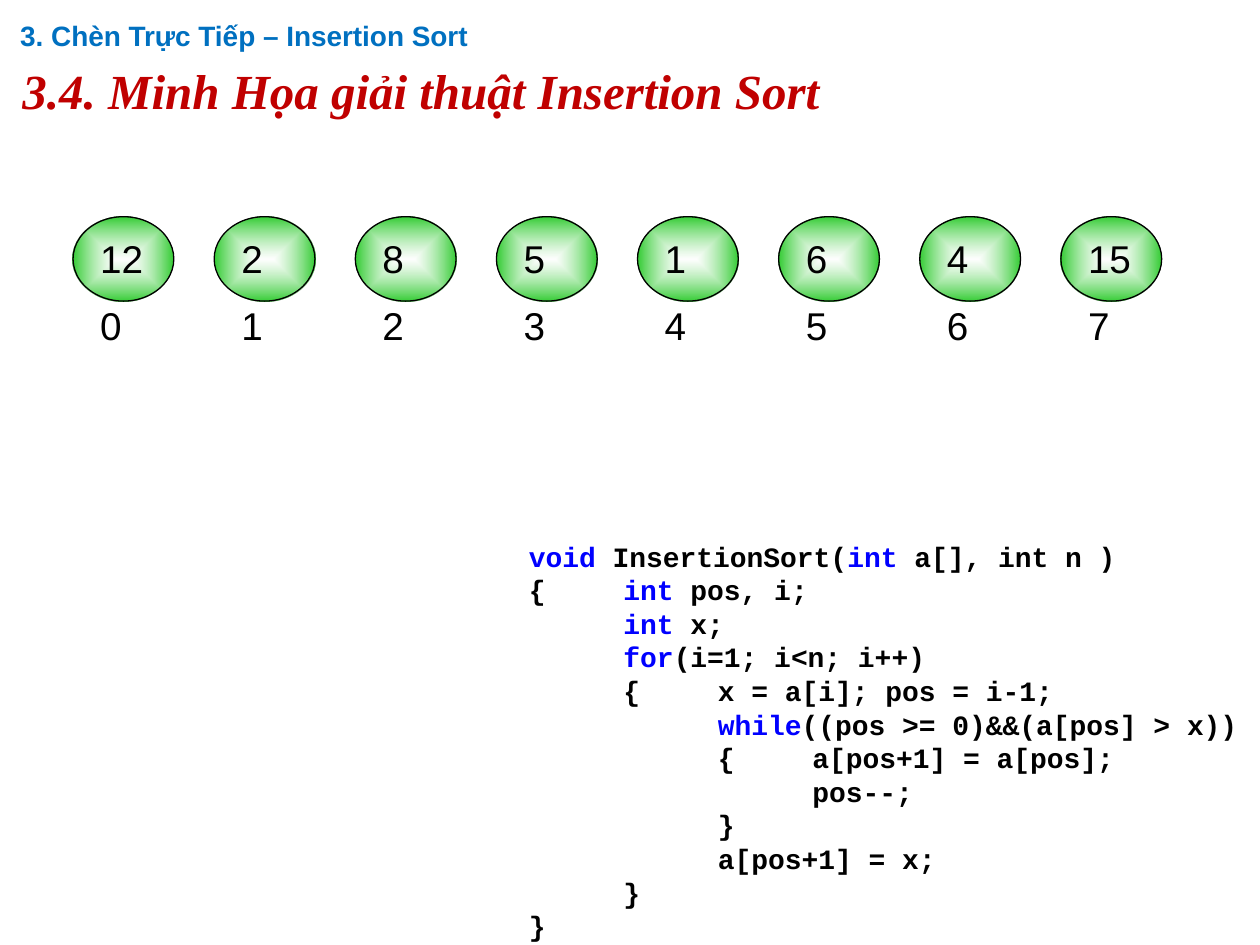
from pptx import Presentation
from pptx.dml.color import RGBColor
from pptx.enum.shapes import MSO_SHAPE
from pptx.enum.text import MSO_ANCHOR, PP_ALIGN
from pptx.oxml import parse_xml
from pptx.oxml.ns import nsdecls, qn
from pptx.util import Inches, Pt

# Content
TITLE = "3. Chèn Trực Tiếp – Insertion Sort"
SUBTITLE = "3.4. Minh Họa giải thuật Insertion Sort"
VALUES = [12, 2, 8, 5, 1, 6, 4, 15]
# Keywords to be coloured stand between ~ marks
CODE = [
    "~void~ InsertionSort(~int~ a[], int n )",
    "{\t~int~ pos, i;",
    "\t~int~ x;",
    "\t~for~(i=1; i<n; i++)",
    "\t{\tx = a[i]; pos = i-1;",
    "\t\t~while~((pos >= 0)&&(a[pos] > x))",
    "\t\t{\ta[pos+1] = a[pos];",
    "\t\t\tpos--;",
    "\t\t}",
    "\t\ta[pos+1] = x;",
    "\t}",
    "}",
]

BLACK = RGBColor(0x00, 0x00, 0x00)
TITLE_BLUE = RGBColor(0x00, 0x70, 0xC0)
RED = RGBColor(0xC0, 0x00, 0x00)
KEYWORD_BLUE = RGBColor(0x00, 0x00, 0xFF)

# Layout, in inches
NODE_LEFT, NODE_STEP = 0.58, 1.12
NODE_W, NODE_H = 0.8, 0.67
VALUE_TOP, INDEX_TOP = 1.72, 2.25
TAB_STEP, TAB_COUNT = 0.75, 3

GRADIENT = f"""<a:gradFill {nsdecls('a')} rotWithShape="1"><a:gsLst>
<a:gs pos="0"><a:srgbClr val="FFFFFF"><a:alpha val="60000"/></a:srgbClr></a:gs>
<a:gs pos="100000"><a:srgbClr val="33CC33"/></a:gs></a:gsLst>
<a:path path="shape"><a:fillToRect l="50000" t="50000" r="50000" b="50000"/></a:path>
</a:gradFill>"""


def set_font(font, name, size, color, bold=False, italic=False):
    font.name, font.size = name, Pt(size)
    font.bold, font.italic = bold, italic
    font.color.rgb = color


def add_heading(sp, text, name, size, color, italic=False):
    tf = sp.text_frame
    tf.word_wrap = True
    tf.vertical_anchor = MSO_ANCHOR.MIDDLE
    p = tf.paragraphs[0]
    p.text = text
    p.alignment = PP_ALIGN.LEFT
    p.line_spacing = 0.9
    set_font(p.font, name, size, color, True, italic)


def add_node(s, column, top, text, filled):
    left = NODE_LEFT + column * NODE_STEP
    sp = s.shapes.add_shape(MSO_SHAPE.OVAL, Inches(left), Inches(top),
                            Inches(NODE_W), Inches(NODE_H))
    sp.shadow.inherit = False
    sp.fill.background()
    if filled:
        spPr = sp.element.spPr
        spPr.replace(spPr.find(qn("a:noFill")), parse_xml(GRADIENT))
        sp.line.color.rgb = BLACK
        sp.line.width = Pt(0.75)
    else:
        sp.line.fill.background()
    tf = sp.text_frame
    tf.vertical_anchor = MSO_ANCHOR.TOP
    p = tf.paragraphs[0]
    p.text = str(text)
    p.alignment = PP_ALIGN.LEFT
    set_font(p.font, "Arial", 22.1, BLACK)


def add_code_line(p, line):
    stops = "".join(f'<a:tab pos="{Inches(TAB_STEP * n)}" algn="l"/>'
                    for n in range(1, TAB_COUNT + 1))
    p._p.get_or_add_pPr().append(
        parse_xml(f"<a:tabLst {nsdecls('a')}>{stops}</a:tabLst>"))
    p.line_spacing = Pt(19.2)
    for i, part in enumerate(line.split("~")):
        if part:
            r = p.add_run()
            r.text = part
            set_font(r.font, "Courier New", 16,
                     KEYWORD_BLUE if i % 2 else BLACK, True)


prs = Presentation()
prs.slide_width, prs.slide_height = Inches(10), Inches(7.5)
s = prs.slides.add_slide(prs.slide_layouts[5])

# Headings
title = s.shapes.title
title.left, title.top = Inches(0.06), Inches(0)
title.width, title.height = Inches(9.29), Inches(0.6)
add_heading(title, TITLE, "Arial", 16, TITLE_BLUE)
subtitle = s.shapes.add_textbox(Inches(0.08), Inches(0.44), Inches(9.29), Inches(0.6))
add_heading(subtitle, SUBTITLE, "Times New Roman", 28, RED, italic=True)

# Array values with their indexes below
for index, value in enumerate(VALUES):
    add_node(s, index, VALUE_TOP, value, filled=True)
    add_node(s, index, INDEX_TOP, index, filled=False)

# Code listing
code = s.shapes.add_textbox(Inches(4.1), Inches(4.2), Inches(5.9), Inches(3.3))
tf = code.text_frame
tf.word_wrap = True
tf.margin_top = Inches(0.08)
for n, line in enumerate(CODE):
    add_code_line(tf.add_paragraph() if n else tf.paragraphs[0], line)

prs.save("out.pptx")
